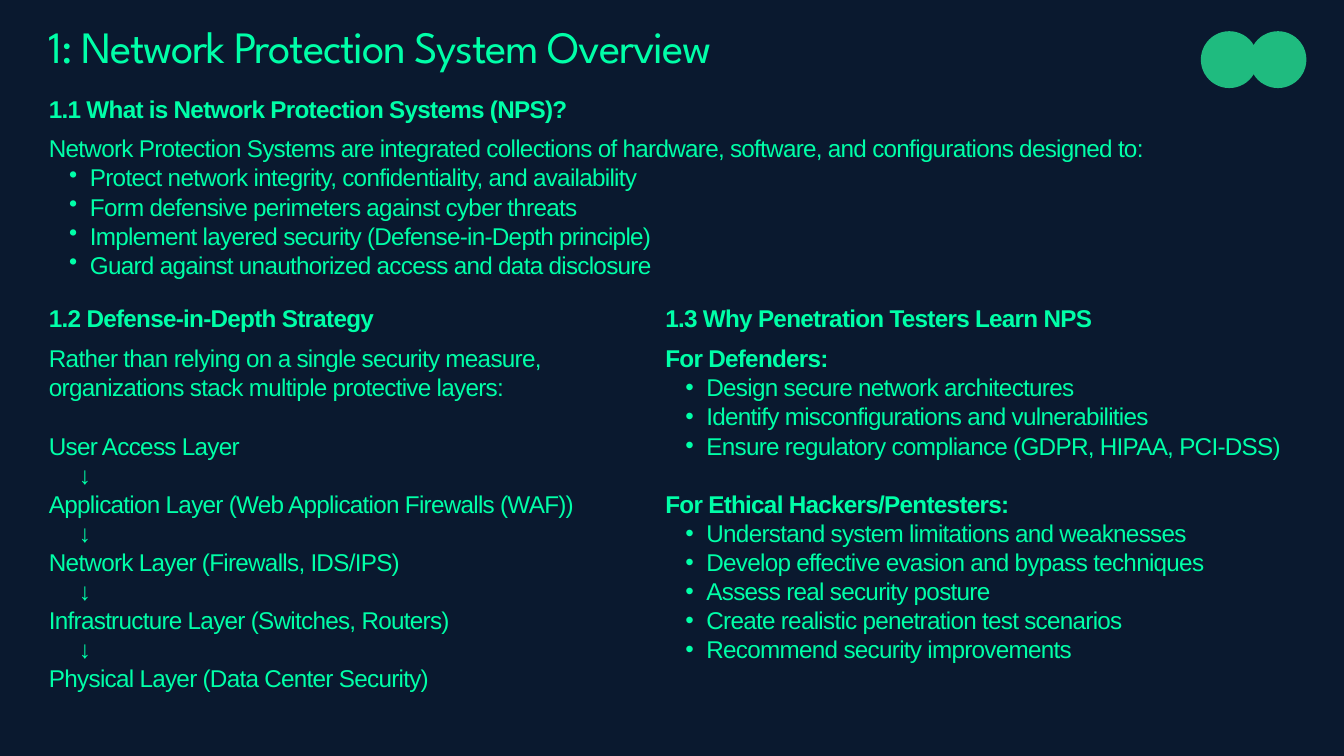
from lxml import etree
from pptx import Presentation
from pptx.dml.color import RGBColor
from pptx.enum.shapes import MSO_SHAPE
from pptx.enum.text import MSO_ANCHOR, MSO_AUTO_SIZE, PP_ALIGN
from pptx.oxml.ns import qn
from pptx.util import Cm, Pt

OVAL = MSO_SHAPE.OVAL
TOP = MSO_ANCHOR.TOP
FIXED = MSO_AUTO_SIZE.NONE
LEFT, JUST = PP_ALIGN.LEFT, PP_ALIGN.JUSTIFY

COLORS = {"back": "0A192F", "text": "00FFA8", "dot": "1FBB7F"}
# Paragraph kinds: type, line pitch, tracking, indents and gap before
BASE = {"font": "Arial", "size": 26, "bold": False, "pitch": 31.2, "track": -80,
        "left": 0, "hang": 0, "gap": 0, "mark": None, "align": LEFT}
KINDS = {
    "title": {**BASE, "font": "League Spartan", "size": 48, "pitch": 48,
              "track": -140, "align": JUST},
    "head": {**BASE, "bold": True, "pitch": 39},
    "plain": BASE,
    "apart": {**BASE, "gap": 31.2},
    "arrow": {**BASE, "left": 1.13},
    "label": {**BASE, "bold": True},
    "next": {**BASE, "bold": True, "gap": 31.2},
    "item": {**BASE, "left": 1.55, "hang": -0.79, "mark": "•"},
}


def color(name):
    return RGBColor.from_string(COLORS[name])


def write(shape, box, lines):
    """Place a text shape and fill it with (kind, text) lines."""
    for name, value in zip(("left", "top", "width", "height"), box):
        setattr(shape, name, Cm(value))
    frame = shape.text_frame
    frame.word_wrap, frame.auto_size, frame.vertical_anchor = True, FIXED, TOP
    for side in ("left", "top", "right", "bottom"):
        setattr(frame, f"margin_{side}", 0)
    for num, (kind, text) in enumerate(lines):
        look = KINDS[kind]
        para = frame.add_paragraph() if num else frame.paragraphs[0]
        props = para._p.get_or_add_pPr()
        props.set("marL", str(Cm(look["left"])))
        props.set("indent", str(Cm(look["hang"])))
        if look["mark"]:
            etree.SubElement(props, qn("a:buChar"), char=look["mark"])
        else:
            etree.SubElement(props, qn("a:buNone"))
        form = {"alignment": look["align"], "line_spacing": Pt(look["pitch"]),
                "space_before": Pt(look["gap"]), "space_after": Pt(0)}
        for name, value in form.items():
            setattr(para, name, value)
        run = para.add_run()
        run.text = text
        run.font.name, run.font.size = look["font"], Pt(look["size"])
        run.font.bold = look["bold"]
        run.font.color.rgb = color("text")
        run._r.get_or_add_rPr().set("spc", str(look["track"]))


deck = Presentation()
deck.slide_width, deck.slide_height = Cm(50.8), Cm(28.58)
slide = deck.slides.add_slide(deck.slide_layouts.get_by_name("Comparison"))
slide.background.fill.solid()
slide.background.fill.fore_color.rgb = color("back")
title, head_a, body_a, head_b, body_b = slide.placeholders

# Twin dots in the corner
for left in (45.39, 47.23):
    dot = slide.shapes.add_shape(OVAL, Cm(left), Cm(1.18), Cm(2.15), Cm(2.15))
    dot.fill.solid()
    dot.fill.fore_color.rgb = color("dot")
    dot.line.fill.background()
    dot.shadow.inherit = False

# Title
COL_A, COL_B = 1.85, 25.15
write(title, (COL_A, 1.04, 43, 2.06),
      [("title", "1: Network Protection System Overview")])

# Overview across the top
head, body = [slide.shapes.add_textbox(0, 0, 0, 0) for _ in range(2)]
write(head, (COL_A, 3.28, 23.06, 1.27),
      [("head", "1.1 What is Network Protection Systems (NPS)?")])
goals = ["Protect network integrity, confidentiality, and availability",
         "Form defensive perimeters against cyber threats",
         "Implement layered security (Defense-in-Depth principle)",
         "Guard against unauthorized access and data disclosure"]
write(body, (COL_A, 5.05, 47.52, 5.44),
      [("plain", "Network Protection Systems are integrated collections of hardware, "
                 "software, and configurations designed to:")]
      + [("item", goal) for goal in goals])

# Left column: stack of layers joined by arrows
write(head_a, (COL_A, 11.2, 23.06, 1.27),
      [("head", "1.2 Defense-in-Depth Strategy")])
layers = ["Application Layer (Web Application Firewalls (WAF))",
          "Network Layer (Firewalls, IDS/IPS)",
          "Infrastructure Layer (Switches, Routers)",
          "Physical Layer (Data Center Security)"]
stack = [("plain", "Rather than relying on a single security measure, "
                   "organizations stack multiple protective layers:"),
         ("apart", "User Access Layer")]
for layer in layers:
    stack += [("arrow", "↓"), ("plain", layer)]
write(body_a, (COL_A, 12.98, 22.38, 13), stack)

# Right column: reasons for each group
write(head_b, (COL_B, 11.2, 23.06, 1.27),
      [("head", "1.3 Why Penetration Testers Learn NPS")])
groups = [
    ("label", "For Defenders:",
     ["Design secure network architectures",
      "Identify misconfigurations and vulnerabilities",
      "Ensure regulatory compliance (GDPR, HIPAA, PCI-DSS)"]),
    ("next", "For Ethical Hackers/Pentesters:",
     ["Understand system limitations and weaknesses",
      "Develop effective evasion and bypass techniques",
      "Assess real security posture",
      "Create realistic penetration test scenarios",
      "Recommend security improvements"]),
]
why = []
for kind, name, items in groups:
    why += [(kind, name)] + [("item", item) for item in items]
write(body_b, (COL_B, 12.98, 24.82, 11.94), why)

deck.save("out.pptx")
